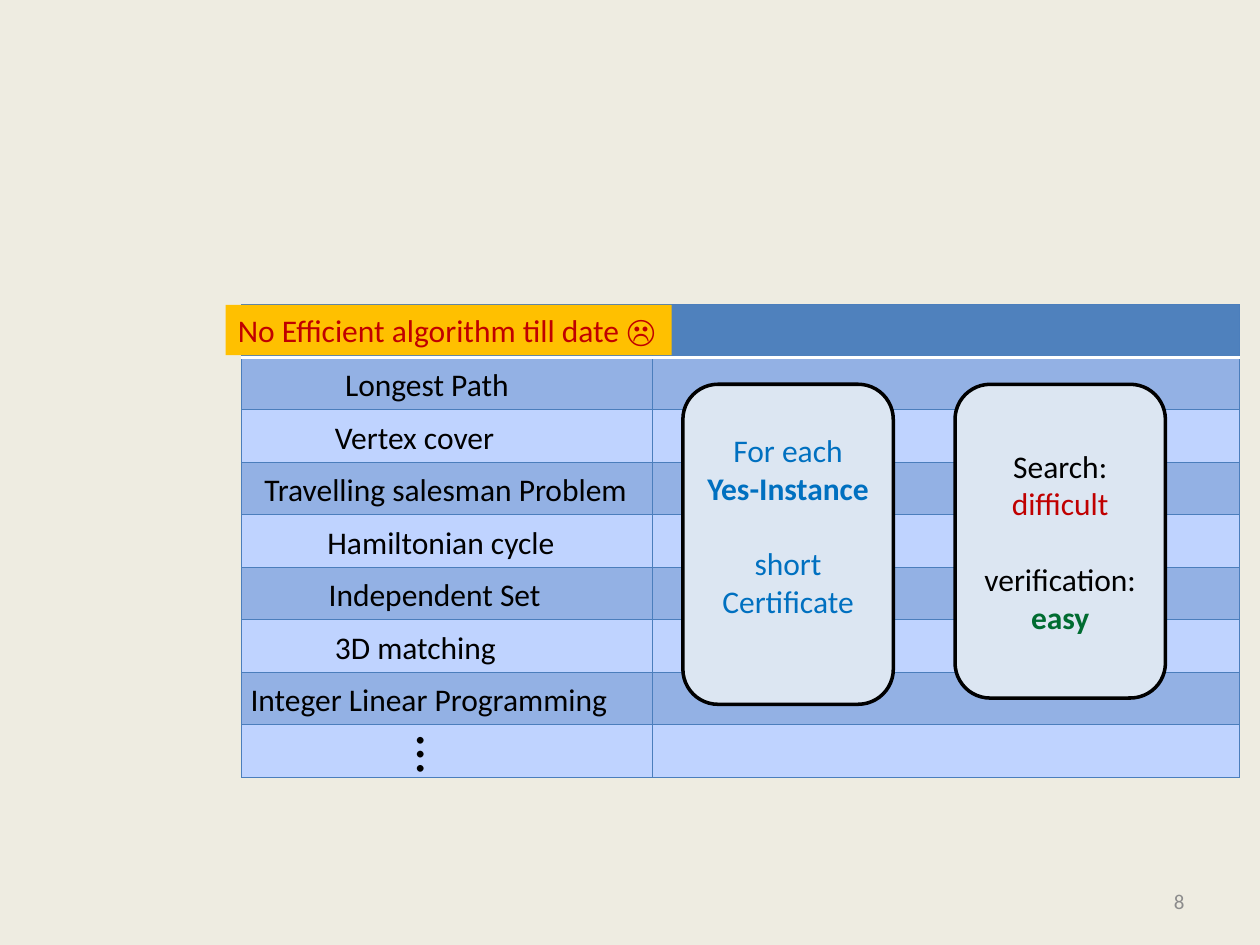
from lxml.etree import SubElement
from pptx import Presentation
from pptx.dml.color import RGBColor
from pptx.enum.shapes import MSO_SHAPE
from pptx.enum.text import MSO_ANCHOR, PP_ALIGN
from pptx.oxml.ns import qn
from pptx.util import Inches, Pt

PROBLEMS = [
    ("Longest Path", 2.64, 1.52),
    ("Vertex cover", 2.56, 1.5),
    ("Travelling salesman Problem", 2, 3.11),
    ("Hamiltonian cycle", 2.5, 2.09),
    ("Independent Set", 2.51, 1.91),
    ("3D matching", 2.56, 1.5),
    ("Integer Linear Programming", 1.89, 3.07),
]
BLUE, RED, GREEN, BLACK = "0070C0", "C00000", "006C31", "000000"
CARDS = [
    {"left": 5.42, "height": 2.54, "bottom_inset": 0.35, "paragraphs": [
        (0, [("For each ", BLUE, False), ("Yes-Instance", BLUE, True)]),
        (21.6, [("short", BLUE, False)]),
        (0, [("Certificate", BLUE, False)])]},
    {"left": 7.58, "height": 2.49, "bottom_inset": 0.05, "paragraphs": [
        (0, [("Search: ", BLACK, False), ("difficult", RED, False)]),
        (21.6, [("verification: ", BLACK, False), ("easy", GREEN, True)])]},
]
TABLE_LEFT, TABLE_TOP, ROW_HEIGHT, ROW_COUNT = 1.92, 2.42, 3.75 / 9, 9
COLUMN_WIDTHS = (3.26, 4.66)
HEADER, BANDS = "4F81BD", ("BFD3FF", "93B1E4")
GRID, RULE = ("4B7EBC", 0.75), ("FFFFFF", 2)


def rgb(color):
    """Turn a hex string into a colour."""
    return RGBColor.from_string(color)


def paint(target, color):
    """Give a shape, cell or background a solid fill."""
    target.fill.solid()
    target.fill.fore_color.rgb = rgb(color)


def add_run(paragraph, wording, color, size=18, bold=False):
    """Append a formatted run to a paragraph."""
    run = paragraph.add_run()
    run.text = wording
    for key, setting in {"name": "Calibri", "size": Pt(size), "bold": bold}.items():
        setattr(run.font, key, setting)
    run.font.color.rgb = rgb(color)


def add_label(slide, wording, place, color=BLACK, size=18):
    """Add a one-line text box."""
    label = slide.shapes.add_textbox(*map(Inches, place))
    label.text_frame.word_wrap = False
    add_run(label.text_frame.paragraphs[0], wording, color, size)
    return label


def add_borders(cell, row):
    """Draw the four edges of a table cell."""
    edges = {"lnL": GRID, "lnR": GRID,
             "lnT": RULE if row == 1 else GRID,
             "lnB": RULE if row == 0 else GRID}
    properties = cell._tc.get_or_add_tcPr()
    for edge, (color, width) in edges.items():
        line = SubElement(properties, qn(f"a:{edge}"), w=str(Pt(width)))
        SubElement(SubElement(line, qn("a:solidFill")), qn("a:srgbClr"), val=color)


def add_grid(slide):
    """Add the banded table behind the labels."""
    grid = slide.shapes.add_table(
        ROW_COUNT, len(COLUMN_WIDTHS), Inches(TABLE_LEFT), Inches(TABLE_TOP),
        Inches(sum(COLUMN_WIDTHS)), Inches(ROW_HEIGHT * ROW_COUNT)).table
    for column, width in zip(grid.columns, COLUMN_WIDTHS):
        column.width = Inches(width)
    for index, row in enumerate(grid.rows):
        row.height = Inches(ROW_HEIGHT)
        for cell in row.cells:
            add_borders(cell, index)
            paint(cell, BANDS[index % 2] if index else HEADER)


def add_card(slide, left, height, bottom_inset, paragraphs):
    """Add a rounded card with centred text."""
    card = slide.shapes.add_shape(
        MSO_SHAPE.ROUNDED_RECTANGLE, *map(Inches, (left, 3.05, 1.67, height)))
    card.shadow.inherit = False
    paint(card, "DCE6F2")
    card.line.color.rgb = rgb(BLACK)
    card.line.width = Pt(2)
    frame = card.text_frame
    for key, setting in {"word_wrap": True, "vertical_anchor": MSO_ANCHOR.MIDDLE,
                         "margin_bottom": Inches(bottom_inset)}.items():
        setattr(frame, key, setting)
    for index, (gap, runs) in enumerate(paragraphs):
        paragraph = frame.add_paragraph() if index else frame.paragraphs[0]
        paragraph.alignment = PP_ALIGN.CENTER
        if gap:
            paragraph.space_before = Pt(gap)
        for wording, color, bold in runs:
            add_run(paragraph, wording, color, bold=bold)


def main():
    """Build the slide and save it."""
    deck = Presentation()
    deck.slide_width, deck.slide_height = Inches(10), Inches(7.5)
    slide = deck.slides.add_slide(deck.slide_layouts[6])
    paint(slide.background, "EEECE1")

    page_number = add_label(slide, "8", (7.17, 6.95, 2.33, 0.4), "8C8C8C", 12)
    page_number.text_frame.word_wrap = True
    page_number.text_frame.vertical_anchor = MSO_ANCHOR.MIDDLE
    page_number.text_frame.paragraphs[0].alignment = PP_ALIGN.RIGHT

    add_grid(slide)
    for index, (problem, left, width) in enumerate(PROBLEMS):
        add_label(slide, problem, (left, 2.85 + index * ROW_HEIGHT, width, 0.4))
    add_label(slide, "…", (3.23, 5.67, 0.51, 0.64), size=32).rotation = 90
    banner = add_label(slide, "No Efficient algorithm till date ☹",
                       (1.79, TABLE_TOP, 3.54, 0.4), RED)
    paint(banner, "FFC000")
    for card in CARDS:
        add_card(slide, **card)
    deck.save("out.pptx")


if __name__ == "__main__":
    main()
